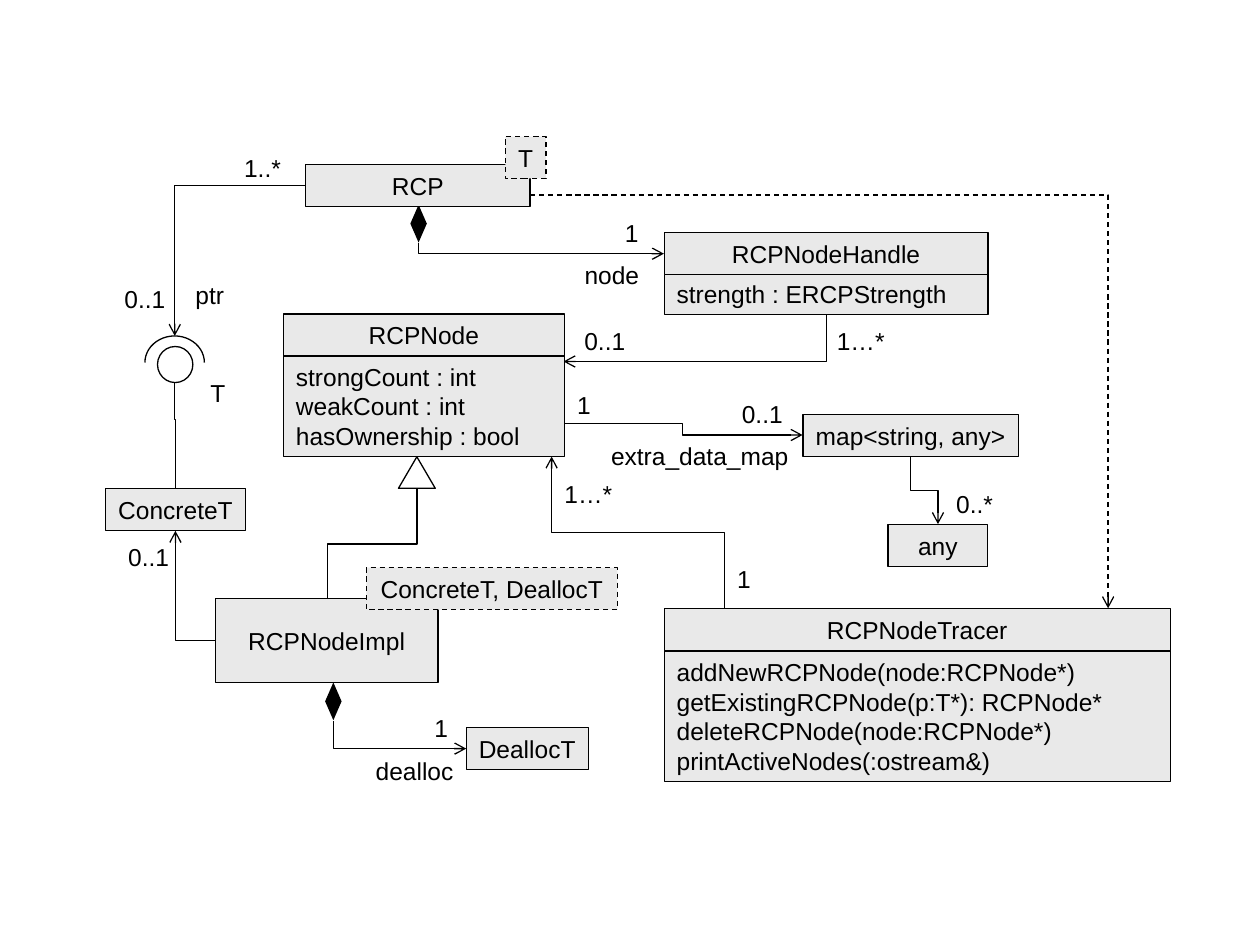
"""Build a UML class diagram of reference-counted pointer classes."""
from dataclasses import dataclass
from typing import NamedTuple

from lxml.etree import SubElement
from pptx import Presentation
from pptx.dml.color import RGBColor
from pptx.enum.dml import MSO_LINE
from pptx.enum.shapes import MSO_CONNECTOR, MSO_SHAPE
from pptx.enum.text import MSO_ANCHOR, PP_ALIGN
from pptx.oxml.ns import qn
from pptx.shapes.autoshape import Shape
from pptx.slide import Slide
from pptx.text.text import TextFrame
from pptx.util import Pt


@dataclass(frozen=True)
class Theme:
    ink: RGBColor = RGBColor(0, 0, 0)
    paper: RGBColor = RGBColor(255, 255, 255)
    box: RGBColor = RGBColor(0xE9, 0xE9, 0xE9)
    font: str = "Arial"
    size: float = 14
    line: float = 0.75
    row: float = 24
    inset_x: float = 7.2
    inset_y: float = 3.6
    label_slack: float = 2


THEME = Theme()


class Box(NamedTuple):
    text: str
    left: float
    top: float
    width: float
    height: float = THEME.row
    members: bool = False
    dashed: bool = False


class Label(NamedTuple):
    text: str
    left: float
    top: float
    width: float


class Link(NamedTuple):
    start: tuple[float, float]
    end: tuple[float, float]
    bends: int = 1
    vertical_first: bool = False
    arrow: bool = True
    dashed: bool = False


class Symbol(NamedTuple):
    kind: MSO_SHAPE
    left: float
    top: float
    width: float
    height: float
    fill: RGBColor | None = None
    outlined: bool = True


LINKS = [
    Link((187.2, 343.4), (238.3, 278.6), bends=2, vertical_first=True, arrow=False),
    Link((190.4, 411.8), (266.4, 427.8), vertical_first=True),
    Link((520.4, 260.9), (536, 299.5), bends=2, vertical_first=True),
    Link((321.6, 241.9), (458.6, 248.6), bends=2),
    Link((239.2, 138.7), (379.4, 145), vertical_first=True),
    Link((123.1, 366), (100.3, 303.4)),
    Link((100.4, 279.4), (99.9, 200.2), bends=2, vertical_first=True, arrow=False),
    Link((174.7, 106), (99.9, 192)),
    Link((472.3, 180), (322, 206.6), vertical_first=True),
    Link((303, 111.5), (633.2, 347.6), dashed=True),
    Link((414, 347.8), (315.2, 260.9), bends=2, vertical_first=True),
]

SYMBOLS = [
    Symbol(MSO_SHAPE.DIAMOND, 234.5, 117, 9.4, 21.6, THEME.ink, False),
    Symbol(MSO_SHAPE.DIAMOND, 185.8, 390, 9.4, 21.6, THEME.ink, False),
    Symbol(MSO_SHAPE.ISOSCELES_TRIANGLE, 227.7, 261, 21, 18, THEME.paper),
    Symbol(MSO_SHAPE.FLOWCHART_CONNECTOR, 90, 198, 20.2, 20.6, THEME.paper),
    Symbol(MSO_SHAPE.ARC, 82.8, 192, 34, 30.4),
]

BOXES = [
    Box("DeallocT", 266.4, 415.8, 69.8),
    Box("any", 507.4, 299.6, 57),
    Box("map<string, any>", 458.8, 236.7, 123.1),
    Box("ConcreteT", 60.4, 279.2, 79.8),
    Box("strength : ERCPStrength", 379.6, 155.8, 185, members=True),
    Box("RCPNodeHandle", 379.6, 133, 185),
    Box("RCPNodeImpl", 123.1, 342, 127.2, 48),
    Box("ConcreteT, DeallocT", 209.4, 324.4, 143.4, dashed=True),
    Box("addNewRCPNode(node:RCPNode*)\ngetExistingRCPNode(p:T*): RCPNode*\n"
        "deleteRCPNode(node:RCPNode*)\nprintActiveNodes(:ostream&)",
        379.6, 372, 289.2, 74.6, members=True),
    Box("RCPNodeTracer", 379.6, 347.6, 289.2),
    Box("RCP", 174.6, 94, 128.2),
    Box("strongCount : int\nweakCount : int\nhasOwnership : bool",
        162, 203.4, 160.4, 57.4, members=True),
    Box("RCPNode", 162, 179.4, 160.4),
    Box("T", 288.8, 78, 23.2, dashed=True),
]

LABELS = [
    Label("dealloc", 207.4, 428.6, 59),
    Label("1", 241, 404, 22.3),
    Label("0..*", 539.3, 275.8, 35.3),
    Label("0..1", 416.9, 224.7, 37.4),
    Label("extra_data_map", 342, 248.6, 115.9),
    Label("T", 113, 212.6, 23),
    Label("ptr", 104.4, 156.2, 31),
    Label("node", 326.9, 144.9, 45.4),
    Label("0..1", 326.9, 183, 37.4),
    Label("0..1", 64.1, 158.5, 37.4),
    Label("1", 349.8, 121, 22.3),
    Label("1…*", 471, 182.8, 41.8),
    Label("1..*", 132.4, 84, 35.3),
    Label("0..1", 66.2, 306.1, 37.4),
    Label("1", 322.6, 219.2, 22.3),
    Label("1", 414, 319, 22.3),
    Label("1…*", 315.3, 270, 41.8),
]


def write_text(text_frame: TextFrame, text: str, members: bool = False) -> None:
    text_frame.margin_left = text_frame.margin_right = Pt(THEME.inset_x)
    text_frame.margin_top = text_frame.margin_bottom = Pt(THEME.inset_y)
    text_frame.word_wrap = False
    text_frame.text = text
    for paragraph in text_frame.paragraphs:
        paragraph.alignment = PP_ALIGN.LEFT if members else PP_ALIGN.CENTER
        for run in paragraph.runs:
            run.font.name = THEME.font
            run.font.size = Pt(THEME.size)
            run.font.color.rgb = THEME.ink


def draw_symbol(slide: Slide, symbol: Symbol) -> Shape:
    shape = slide.shapes.add_shape(
        symbol.kind, Pt(symbol.left), Pt(symbol.top), Pt(symbol.width), Pt(symbol.height))
    shape.shadow.inherit = False
    if symbol.fill is None:
        shape.fill.background()
    else:
        shape.fill.solid()
        shape.fill.fore_color.rgb = symbol.fill
    if symbol.outlined:
        shape.line.color.rgb = THEME.ink
        shape.line.width = Pt(THEME.line)
    else:
        shape.line.fill.background()
    if symbol.kind == MSO_SHAPE.ARC:
        shape.adjustments[0] = 108
    return shape


def draw_box(slide: Slide, box: Box) -> None:
    shape = draw_symbol(slide, Symbol(
        MSO_SHAPE.RECTANGLE, box.left, box.top, box.width, box.height, THEME.box))
    if box.dashed:
        shape.line.dash_style = MSO_LINE.DASH
    shape.text_frame.vertical_anchor = MSO_ANCHOR.MIDDLE
    write_text(shape.text_frame, box.text, box.members)


def draw_label(slide: Slide, label: Label) -> None:
    shape = slide.shapes.add_textbox(
        Pt(label.left - THEME.label_slack), Pt(label.top),
        Pt(label.width + 2 * THEME.label_slack), Pt(THEME.row))
    write_text(shape.text_frame, label.text)


def draw_link(slide: Slide, link: Link) -> None:
    (start_x, start_y), (end_x, end_y) = link.start, link.end
    if link.vertical_first:
        middle_x, middle_y = (start_x + end_x) / 2, (start_y + end_y) / 2
        half_x, half_y = (end_x - start_x) / 2, (end_y - start_y) / 2
        start_x, start_y = middle_x - half_y, middle_y + half_x
        end_x, end_y = middle_x + half_y, middle_y - half_x
    connector = slide.shapes.add_connector(
        MSO_CONNECTOR.ELBOW, Pt(start_x), Pt(start_y), Pt(end_x), Pt(end_y))
    properties = connector._element.spPr
    if link.vertical_first:
        properties.find(qn("a:xfrm")).set("rot", "5400000")
    properties.find(qn("a:prstGeom")).set("prst", f"bentConnector{link.bends + 1}")
    connector.line.color.rgb = THEME.ink
    connector.line.width = Pt(THEME.line)
    if link.dashed:
        connector.line.dash_style = MSO_LINE.DASH
    if link.arrow:
        SubElement(properties.find(qn("a:ln")), qn("a:tailEnd"), type="arrow")
    SubElement(properties, qn("a:effectLst"))


def main() -> None:
    presentation = Presentation()
    presentation.slide_width, presentation.slide_height = Pt(720), Pt(540)
    slide = presentation.slides.add_slide(presentation.slide_layouts[6])
    for items, draw in ((LINKS, draw_link), (SYMBOLS, draw_symbol),
                        (BOXES, draw_box), (LABELS, draw_label)):
        for item in items:
            draw(slide, item)
    presentation.save("out.pptx")


if __name__ == "__main__":
    main()
